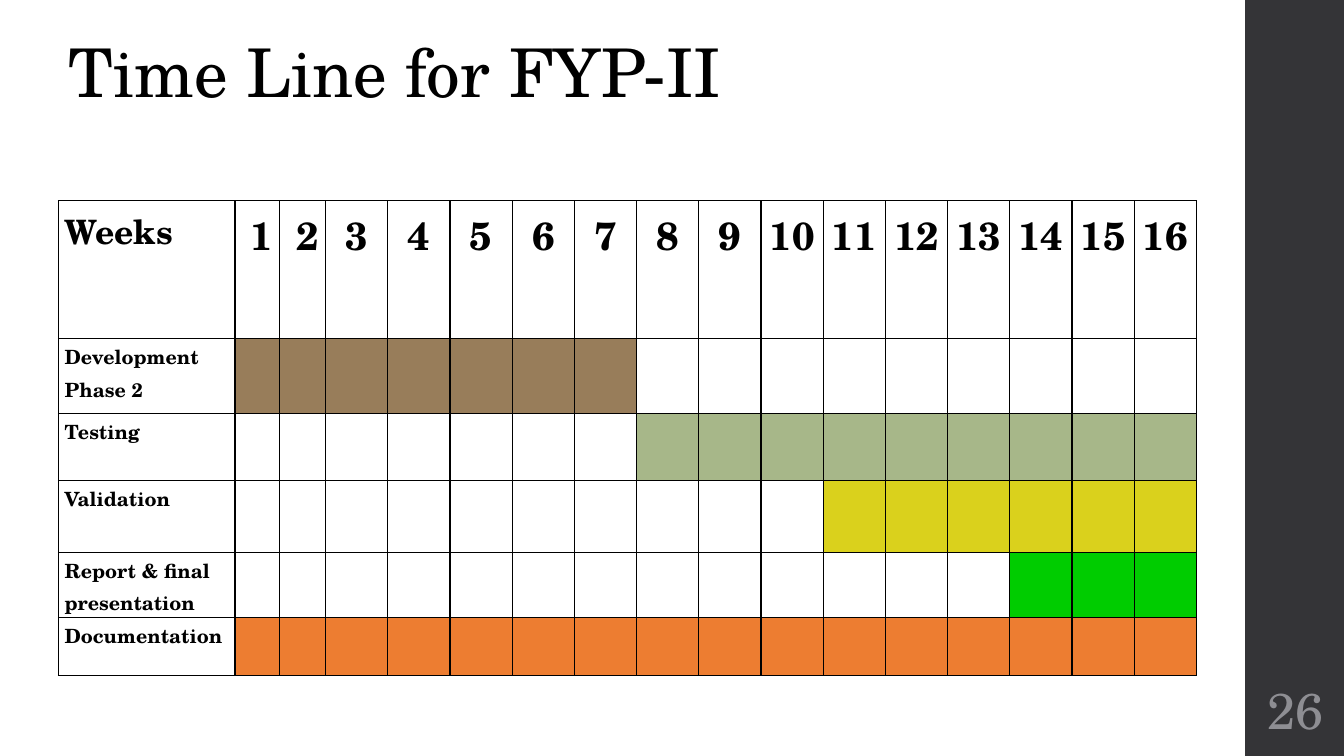
from lxml import etree
from pptx import Presentation
from pptx import util as u
from pptx.dml import color
from pptx.enum import shapes, text
from pptx.oxml import ns

FONT = "TeX Gyre Schola"
LEFT = text.PP_ALIGN.LEFT
CENTER = text.PP_ALIGN.CENTER


def paint(target, hex_color):
    target.solid()
    target.fore_color.rgb = color.RGBColor.from_string(hex_color)


def write(frame, wording, size, bold, hex_color, alignment, spacing):
    frame.text = wording
    for paragraph in frame.paragraphs:
        paragraph.alignment = alignment
        paragraph.line_spacing = spacing
        font = paragraph.runs[0].font
        formats = {"name": FONT, "size": u.Pt(size), "bold": bold}
        for name, value in formats.items():
            setattr(font, name, value)
        paint(font.fill, hex_color)


presentation = Presentation()
presentation.slide_width = u.Inches(13.33)
presentation.slide_height = u.Inches(7.5)
slide = presentation.slides.add_slide(presentation.slide_layouts[5])
paint(slide.background.fill, "FFFFFF")

sidebar = slide.shapes.add_shape(
    shapes.MSO_SHAPE.RECTANGLE, u.Inches(12.35), 0, u.Inches(0.98), u.Inches(7.5))
sidebar.shadow.inherit = False
paint(sidebar.fill, "343437")
sidebar.line.fill.background()

page_number = slide.shapes.add_textbox(
    u.Inches(12.35), u.Inches(6.75), u.Inches(1), u.Inches(0.65))
frame = page_number.text_frame
frame.word_wrap = True
frame.vertical_anchor = text.MSO_ANCHOR.MIDDLE
for side in ("left", "top", "right", "bottom"):
    setattr(frame, f"margin_{side}", u.Inches(0.05))
write(frame, "26", 36, False, "8E8E93", CENTER, 0.9)

title = slide.shapes.title
box = {"left": 0.58, "top": 0.34, "width": 8.22, "height": 0.83}
for name, value in box.items():
    setattr(title, name, u.Inches(value))
title.text_frame.vertical_anchor = text.MSO_ANCHOR.MIDDLE
write(title.text_frame, "Time Line for FYP-II", 48, False, "000000", LEFT, 0.9)

weeks = range(1, 17)
tasks = [
    ("Development\nPhase 2", 1, 7, "987D5A"),
    ("Testing", 8, 16, "A7B789"),
    ("Validation", 11, 16, "DAD11C"),
    ("Report & final presentation", 14, 16, "00CC00"),
    ("Documentation", 1, 16, "ED7D31"),
]
column_widths = [1.75, 0.44, 0.46] + [0.617] * 14
row_heights = [1.37, 0.74, 0.67, 0.71, 0.65, 0.57]
week_indents = {1: 0.12, 2: 0.13}

table_shape = slide.shapes.add_table(
    len(row_heights), len(column_widths), u.Inches(0.58), u.Inches(1.99),
    u.Inches(sum(column_widths)), u.Inches(sum(row_heights)))
table = table_shape.table
table.first_row = False
table.horz_banding = False
for column, width in zip(table.columns, column_widths):
    column.width = u.Inches(width)
for row, height in zip(table.rows, row_heights):
    row.height = u.Inches(height)

for cell in table.iter_cells():
    margins = {"left": 0.06, "top": 0.01, "right": 0.03, "bottom": 0}
    for side, margin in margins.items():
        setattr(cell, f"margin_{side}", u.Inches(margin))
    paint(cell.fill, "FFFFFF")
    properties = cell._tc.get_or_add_tcPr()
    for position, edge in enumerate(("lnL", "lnR", "lnT", "lnB")):
        border = etree.Element(ns.qn(f"a:{edge}"), w=str(u.Pt(1)))
        fill = etree.SubElement(border, ns.qn("a:solidFill"))
        etree.SubElement(fill, ns.qn("a:srgbClr"), val="000000")
        properties.insert(position, border)

write(table.cell(0, 0).text_frame, "Weeks", 24, True, "000000", LEFT, 1.07)
for week in weeks:
    cell = table.cell(0, week)
    cell.margin_left = u.Inches(week_indents.get(week, 0.03))
    cell.margin_top = 0
    write(cell.text_frame, str(week), 28, True, "000000", CENTER, 1.07)

for row_index, (task, start, end, bar_color) in enumerate(tasks, 1):
    label = table.cell(row_index, 0)
    write(label.text_frame, task, 14, True, "000000", LEFT, 1.07)
    for week in range(start, end + 1):
        paint(table.cell(row_index, week).fill, bar_color)

presentation.save("out.pptx")
